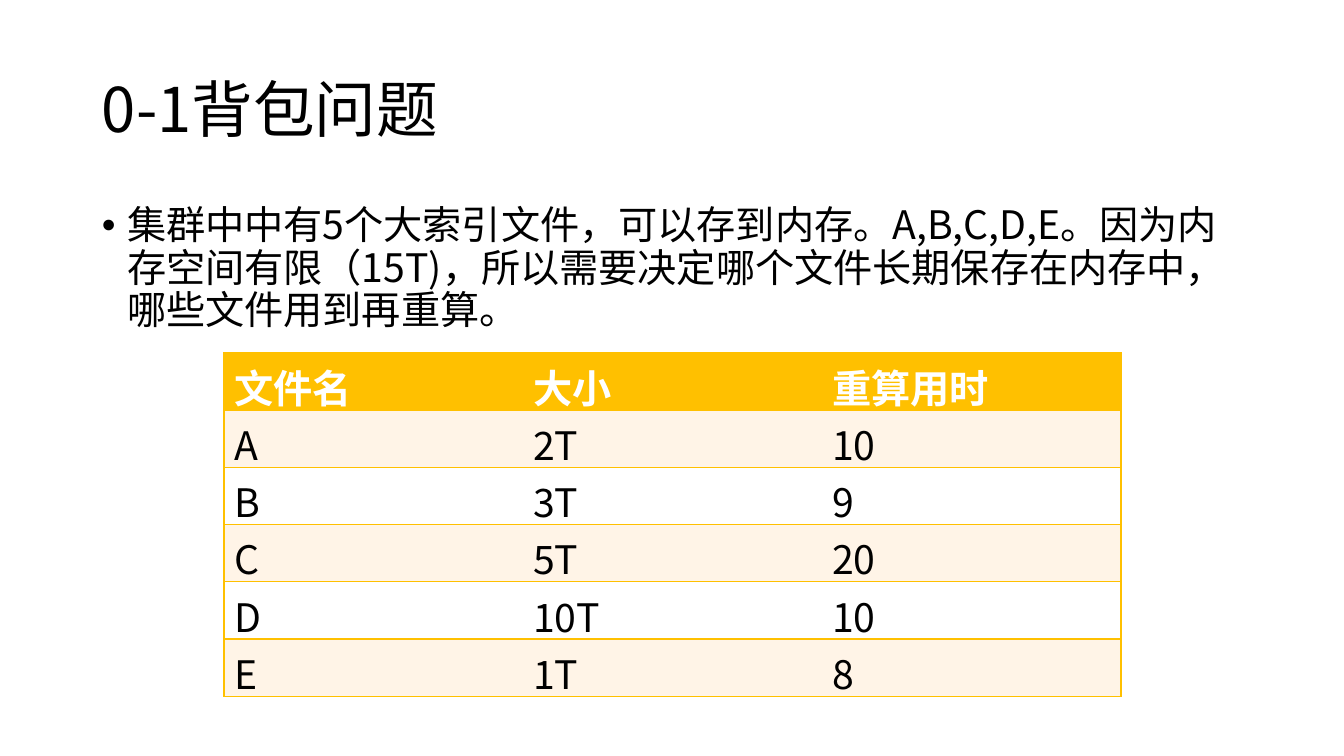
import pptx
import pptx.util
import pptx.dml.color
import pptx.enum.text
import pptx.oxml
import pptx.oxml.ns
from dataclasses import dataclass
from lxml import etree


@dataclass
class Theme:
    font: str = "Noto Sans CJK SC"
    ink: str = "000000"
    paper: str = "FFFFFF"
    accent: str = "FFC000"
    band: str = "FFF4E7"
    title_size: int = 44
    body_size: int = 28


def px(length):
    return pptx.util.Emu(round(length * 914400 / 100.8))


def add_xml(parent, tag, **attributes):
    return etree.SubElement(parent, pptx.oxml.ns.qn(tag), attributes)


class SlideBuilder:
    def __init__(self, slide, theme):
        self.slide = slide
        self.theme = theme

    def format_text(self, paragraph, size, color, bold=False):
        for run in paragraph.runs:
            run.font.size = pptx.util.Pt(size)
            run.font.name = self.theme.font
            run.font.bold = bold
            run.font.color.rgb = pptx.dml.color.RGBColor.from_string(color)
            add_xml(run.font._element, "a:ea", typeface=self.theme.font)

    def text(self, wording, left, top, width, height, size, anchor):
        box = self.slide.shapes.add_textbox(px(left), px(top), px(width), px(height))
        frame = box.text_frame
        frame.word_wrap = True
        frame.vertical_anchor = anchor
        frame.text = wording
        paragraph = frame.paragraphs[0]
        paragraph.line_spacing = 0.9
        self.format_text(paragraph, size, self.theme.ink)
        return paragraph

    def title(self, wording, *bounds):
        self.text(wording, *bounds, self.theme.title_size, pptx.enum.text.MSO_ANCHOR.MIDDLE)

    def bullet(self, wording, *bounds):
        paragraph = self.text(wording, *bounds, self.theme.body_size, pptx.enum.text.MSO_ANCHOR.TOP)
        paragraph.space_before = pptx.util.Pt(10)
        properties = paragraph._p.get_or_add_pPr()
        indent = pptx.util.Inches(0.25)
        properties.set("marL", str(indent))
        properties.set("indent", str(-indent))
        add_xml(properties, "a:buFont", typeface="Arial")
        add_xml(properties, "a:buChar", char="•")

    def borders(self, cell, visible_sides):
        properties = cell._tc.get_or_add_tcPr()
        for side in "LRTB":
            line = add_xml(properties, f"a:ln{side}", w=str(pptx.util.Pt(1)))
            if side in visible_sides:
                fill = add_xml(line, "a:solidFill")
                add_xml(fill, "a:srgbClr", val=self.theme.accent)
            else:
                add_xml(line, "a:noFill")

    def table(self, rows, left, top, column_width, row_height):
        row_count, column_count = len(rows), len(rows[0])
        table = self.slide.shapes.add_table(
            row_count, column_count, px(left), px(top),
            px(column_width * column_count), px(row_height * row_count)).table
        table.first_row = False
        table.horz_banding = False
        for row_index, values in enumerate(rows):
            header = row_index == 0
            banded = self.theme.band if row_index % 2 else self.theme.paper
            background = self.theme.accent if header else banded
            color = self.theme.paper if header else self.theme.ink
            for column_index, value in enumerate(values):
                cell = table.cell(row_index, column_index)
                sides = "TB"
                if column_index == 0:
                    sides += "L"
                if column_index == column_count - 1:
                    sides += "R"
                self.borders(cell, sides)
                cell.fill.solid()
                cell.fill.fore_color.rgb = pptx.dml.color.RGBColor.from_string(background)
                cell.text_frame.text = value
                self.format_text(cell.text_frame.paragraphs[0], self.theme.body_size, color, header)


presentation = pptx.Presentation()
presentation.slide_width = px(1344)
presentation.slide_height = px(756)
slide = presentation.slides.add_slide(presentation.slide_layouts[6])
knapsack = SlideBuilder(slide, Theme())

knapsack.title("0-1背包问题", 92, 40, 1159, 146)
knapsack.bullet(
    "集群中中有5个大索引文件，可以存到内存。A,B,C,D,E。因为内存空间有限（15T)，"
    "所以需要决定哪个文件长期保存在内存中，哪些文件用到再重算。",
    92, 201, 1159, 480)

index_files = [
    ("文件名", "大小", "重算用时"),
    ("A", "2T", "10"),
    ("B", "3T", "9"),
    ("C", "5T", "20"),
    ("D", "10T", "10"),
    ("E", "1T", "8"),
]
knapsack.table(index_files, 224, 353, 299, 41)

presentation.save("out.pptx")
